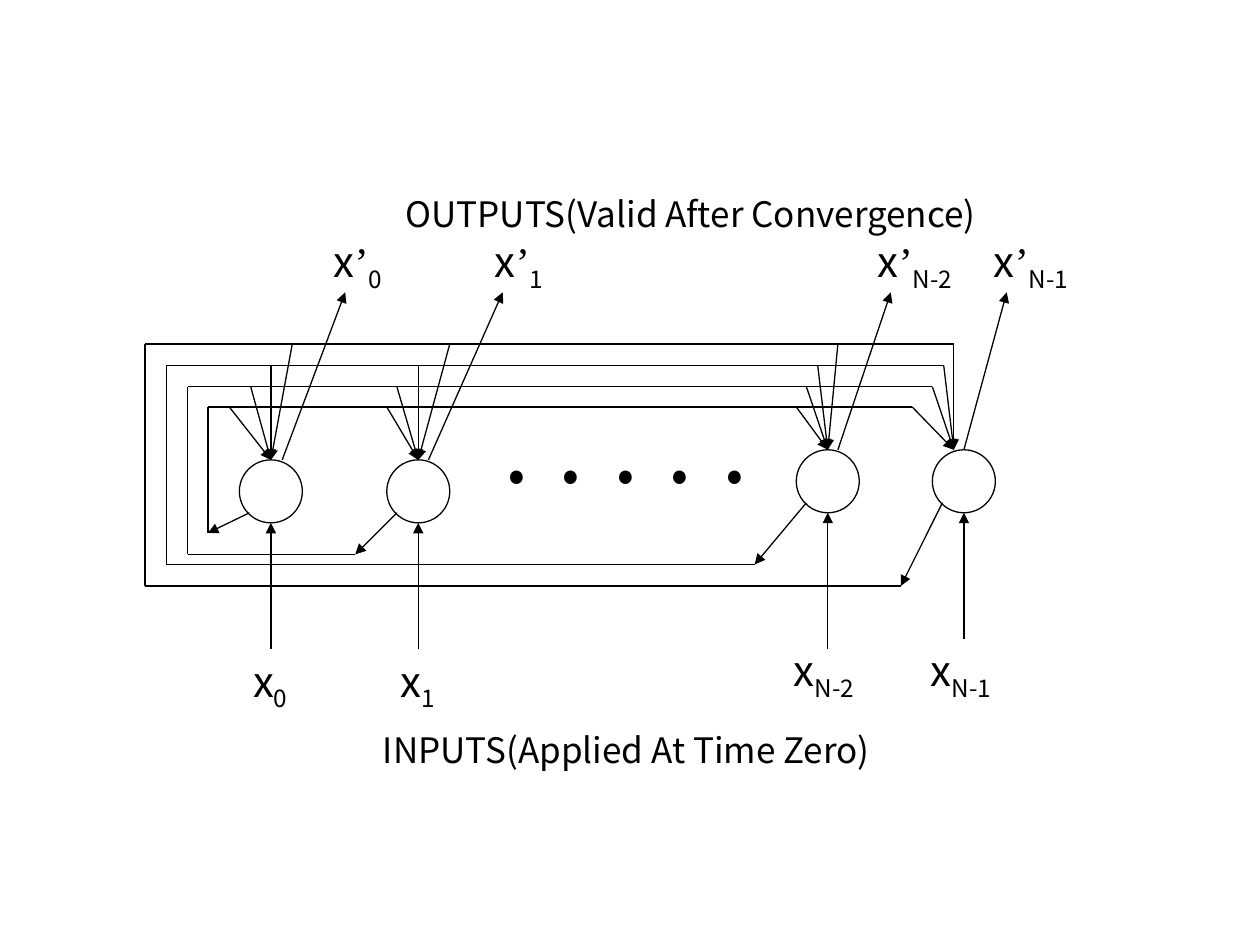
from pptx import Presentation
from pptx import util as u
from pptx.dml.color import RGBColor
from pptx.enum import shapes, text
from pptx.oxml.ns import qn
from lxml import etree

COLORS = {"ink": "000000"}
SANS, SERIF = "Noto Sans CJK KR", "Times New Roman"
SIZE = 0.5      # node diameter
OUT_Y = 2.32    # tips of the output arrows

# Feedback rails, inner to outer: left x, top y, bottom y, turn x
RAILS = [
    (1.65, 3.23, 4.23, 1.65),
    (1.49, 3.07, 4.4, 2.82),
    (1.32, 2.9, 4.48, 5.99),
    (1.15, 2.73, 4.65, 7.15),
]

# Nodes: index, centre x, top y, fan tip x, fan start x on each rail,
# output start x and end x, output label x, input label x, input start y
NODES = [
    ("0", 2.15, 3.65, 2.15, (1.82, 1.99, 2.15, 2.32),
     2.24, 2.74, (2.55, 0.6), (1.91, 0.48), 5.15),
    ("1", 3.32, 3.65, 3.32, (3.07, 3.15, 3.32, 3.57),
     3.4, 3.99, (3.83, 0.6), (3.08, 0.48), 5.15),
    ("N-2", 6.57, 3.57, 6.57, (6.32, 6.4, 6.49, 6.65),
     6.65, 7.07, (6.87, 0.8), (6.2, 0.69), 5.15),
    ("N-1", 7.65, 3.57, 7.57, (7.24, 7.4, 7.49, 7.57),
     7.65, 7.99, (7.79, 0.8), (7.29, 0.69), 5.07),
]


def ink():
    return RGBColor.from_string(COLORS["ink"])


def add_line(slide, start, end, arrow=False):
    line = slide.shapes.add_connector(
        shapes.MSO_CONNECTOR.STRAIGHT,
        *(u.Inches(v) for v in (*start, *end)))
    line.line.color.rgb = ink()
    line.line.width = u.Pt(0.75)
    if arrow:
        tail = etree.SubElement(line.line._get_or_add_ln(), qn("a:tailEnd"))
        tail.set("type", "triangle")
    etree.SubElement(line._element.spPr, qn("a:effectLst"))


def add_node(slide, mid, top):
    node = slide.shapes.add_shape(
        shapes.MSO_SHAPE.OVAL, u.Inches(mid - SIZE / 2), u.Inches(top),
        u.Inches(SIZE), u.Inches(SIZE))
    node.shadow.inherit = False
    node.fill.background()
    node.line.color.rgb = ink()
    node.line.width = u.Pt(0.75)


def add_text(slide, place, runs, size, bold=False):
    """Each run is (words, font, is subscript)."""
    box = slide.shapes.add_textbox(*(u.Inches(v) for v in place))
    frame = box.text_frame
    frame.word_wrap = False
    frame.auto_size = text.MSO_AUTO_SIZE.SHAPE_TO_FIT_TEXT
    para = frame.paragraphs[0]
    for words, face, sub in runs:
        run = para.add_run()
        run.text = words
        run.font.name = face
        run.font.size = u.Pt(size)
        run.font.bold = bold
        run.font.color.rgb = ink()
        if sub:
            run.font._element.set("baseline", "-25000")


def add_label(slide, left, top, width, index, prime=False):
    runs = [("x", SANS, False), (index, SANS, True)]
    if prime:
        runs.insert(1, ("’", SERIF, False))
    add_text(slide, (left, top, width, 0.56), runs, 24)


def add_rail(slide, node, rail, end):
    """Feedback path from a node, round the left side, to the far end."""
    mid, top = node[1:3]
    left, high, low, turn = rail
    add_line(slide, (mid - 0.17, top + 0.42), (turn, low), True)
    if turn != left:
        add_line(slide, (turn, low), (left, low))
    add_line(slide, (left, low), (left, high))
    add_line(slide, (left, high), (end, high))


def add_unit(slide, node):
    """A node with its fan of feedback arrows, its input and its output."""
    index, mid, top, tip, fan, begin, end, out, inp, base = node
    add_node(slide, mid, top)
    for x, rail in zip(fan, RAILS):
        add_line(slide, (x, rail[1]), (tip, top), True)
    add_line(slide, (begin, top), (end, OUT_Y), True)
    add_line(slide, (mid, base), (mid, top + SIZE), True)
    add_label(slide, out[0], 1.82, out[1], index, True)
    add_label(slide, inp[0], top + 1.5, inp[1], index)


def main():
    deck = Presentation()
    deck.slide_width, deck.slide_height = u.Inches(10), u.Inches(7.5)
    slide = deck.slides.add_slide(deck.slide_layouts[6])

    # Network
    for node in NODES:
        add_unit(slide, node)
    for node, rail, end in zip(NODES, RAILS, NODES[-1][4]):
        add_rail(slide, node, rail, end)

    # Dots between nodes, and captions
    add_text(slide, (3.91, 3.23, 2.11, 0.77),
             [(".  .  .  .  .", SANS, False)], 40, True)
    add_text(slide, (2.94, 5.73, 4.08, 0.44),
             [("INPUTS(Applied At Time Zero)", SANS, False)], 20)
    add_text(slide, (3.12, 1.48, 4.77, 0.44),
             [("OUTPUTS(Valid After Convergence)", SANS, False)], 20)

    deck.save("out.pptx")


if __name__ == "__main__":
    main()
